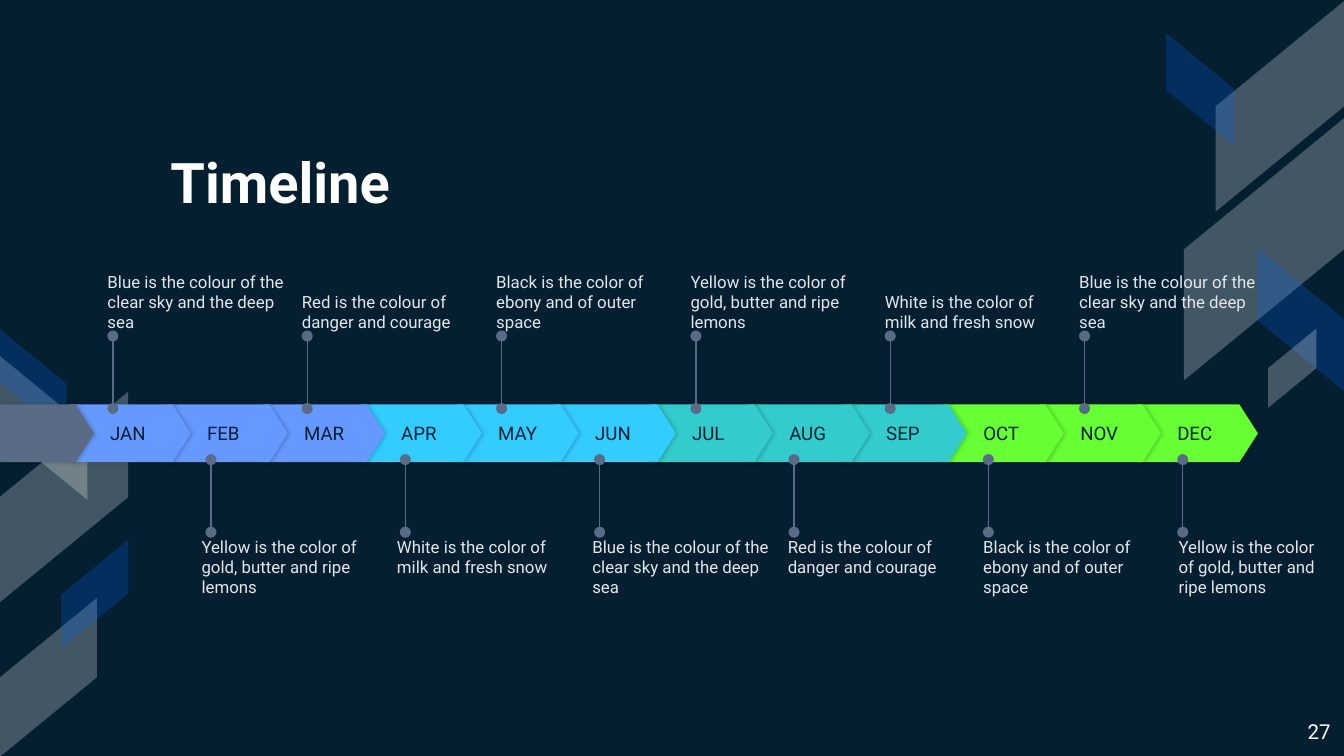
from lxml import etree
from pptx import Presentation
from pptx.dml.color import RGBColor
from pptx.enum.shapes import MSO_CONNECTOR, MSO_SHAPE
from pptx.enum.text import MSO_ANCHOR, PP_ALIGN
from pptx.oxml.ns import qn
from pptx.util import Inches, Pt

# Content
BLUE = "Blue is the colour of the clear sky and the deep sea"
YELLOW = "Yellow is the color of gold, butter and ripe lemons"
RED = "Red is the colour of danger and courage"
WHITE = "White is the color of milk and fresh snow"
BLACK = "Black is the color of ebony and of outer space"
QUARTERS = [
    ("6699FF", ["JAN", "FEB", "MAR"]),
    ("33CCFF", ["APR", "MAY", "JUN"]),
    ("33CCCC", ["JUL", "AUG", "SEP"]),
    ("66FF33", ["OCT", "NOV", "DEC"]),
]
NOTES_ABOVE = [BLUE, RED, BLACK, YELLOW, WHITE, BLUE]
NOTES_BELOW = [YELLOW, WHITE, BLUE, RED, BLACK, YELLOW]

# Background stripes: left, top, width, height, rotation, flipped, pale
STRIPES = [
    (8.74, 0.31, 1.57, 0.96, 90, True, True),
    (8.43, 1.26, 1.95, 1.19, 90, True, True),
    (9.15, 2.06, 1.06, 0.64, 270, False, False),
    (8.51, 0.41, 0.84, 0.51, 270, False, False),
    (9.32, 2.56, 0.59, 0.36, 270, True, True),
    (-0.31, 3.22, 1.57, 0.96, 90, True, True),
    (-0.21, 2.86, 1.07, 0.65, 90, False, True),
    (-0.23, 4.68, 1.18, 0.72, 270, True, True),
    (-0.16, 2.6, 0.81, 0.5, 270, False, False),
    (0.3, 4.17, 0.81, 0.5, 270, True, False),
]

# Layout, in inches, on a 16:9 slide
W = 10
H = W * 9 / 16
FIRST_MONTH, LAST_MONTH = 0.52, 8.46
MONTH_STEP = (LAST_MONTH - FIRST_MONTH) / 11
BAR_TOP, BAR_H, MONTH_W = 3.01, 0.43, 0.9
NOTE_W, LAST_NOTE_W, NOTE_H = 1.37, 1.13, 0.58
INK, SLATE, NOTE_COLOR = "041F30", "5A6B85", "E3E7EC"

# Notes: texts, first and last pin x, pin ends, first and last text x, top, anchor
NOTE_ROWS = [
    (NOTES_ABOVE, (0.84, 8.07), (3.04, 2.5), (0.8, 8.03), 1.89, MSO_ANCHOR.BOTTOM),
    (NOTES_BELOW, (1.57, 8.8), (3.96, 3.42), (1.5, 8.77), 3.99, MSO_ANCHOR.TOP),
]

prs = Presentation()
prs.slide_width, prs.slide_height = Inches(W), Inches(H)
slide = prs.slides.add_slide(prs.slide_layouts[6])


def color(value):
    return RGBColor.from_string(value)


def paint(fill, value):
    fill.solid()
    fill.fore_color.rgb = color(value)


def add_xml(parent, tag, **attrs):
    return etree.SubElement(parent, qn(tag), {k: str(v) for k, v in attrs.items()})


def spread(ends, count):
    first, last = ends
    return [first + i * (last - first) / (count - 1) for i in range(count)]


def write(shape, text, size, ink, inset=(0, 0, 0, 0), anchor=MSO_ANCHOR.TOP,
          align=PP_ALIGN.LEFT, bold=False):
    frame = shape.text_frame
    frame.word_wrap = True
    frame.vertical_anchor = anchor
    (frame.margin_left, frame.margin_top,
     frame.margin_right, frame.margin_bottom) = map(Inches, inset)
    paragraph = frame.paragraphs[0]
    paragraph.alignment = align
    run = paragraph.add_run()
    run.text = text
    run.font.name, run.font.size, run.font.bold = "Roboto", Pt(size), bold
    run.font.color.rgb = color(ink)


def text_box(x, y, w, h, *args, **options):
    write(slide.shapes.add_textbox(*map(Inches, (x, y, w, h))), *args, **options)


def preset(kind, x, y, w, h, fill, adjust):
    shape = slide.shapes.add_shape(kind, *map(Inches, (x, y, w, h)))
    shape.adjustments[0] = adjust
    shape.shadow.inherit = False
    paint(shape.fill, fill)
    shape.line.fill.background()
    return shape


def stripe(x, y, w, h, rotation, flipped, pale):
    shape = preset(MSO_SHAPE.PARALLELOGRAM, x, y, w, h,
                   "FFFFFF" if pale else "0066FF", 0.819)
    shape.rotation = rotation
    props = shape._element.spPr
    if flipped:
        props.find(qn("a:xfrm")).set("flipH", "1")
    add_xml(props.find(qn("a:solidFill"))[0], "a:alpha", val=25000 if pale else 23000)


def bar_segment(x, w, fill, label=None):
    shape = preset(MSO_SHAPE.PENTAGON, x, BAR_TOP, w, BAR_H, fill, 0.32)
    effects = shape._element.spPr.find(qn("a:effectLst"))
    shadow = add_xml(effects, "a:outerShdw", blurRad=Pt(2.2), dist=Pt(0.8), dir=0,
                     algn="ctr", rotWithShape=0)
    add_xml(add_xml(shadow, "a:srgbClr", val="000000"), "a:alpha", val=20000)
    if label:
        write(shape, label, 10, INK, inset=(0.3, 0, 0, 0), anchor=MSO_ANCHOR.MIDDLE)


def pin(x, start, end):
    line = slide.shapes.add_connector(
        MSO_CONNECTOR.STRAIGHT, *map(Inches, (x, start, x, end)))
    line.line.width = Pt(0.75)
    paint(line.line.fill, SLATE)
    props = line._element.spPr
    for tag in ("a:headEnd", "a:tailEnd"):
        add_xml(props.find(qn("a:ln")), tag, type="oval")
    add_xml(props, "a:effectLst")


# Background, title and page number
paint(slide.background.fill, INK)
for spec in STRIPES:
    stripe(*spec)
text_box(1.17, 1, 6.53, 0.7, "Timeline", 30, "FFFFFF", inset=(0.1,) * 4,
         anchor=MSO_ANCHOR.BOTTOM, bold=True)
text_box(9.36, 5.26, 0.64, 0.36, "27", 11, "FFFFFF", inset=(0.1,) * 4,
         align=PP_ALIGN.RIGHT)

# Month bar, last month first so each point overlaps the next segment
months = [(name, fill) for fill, names in QUARTERS for name in names]
for i, (name, fill) in reversed(list(enumerate(months))):
    bar_segment(FIRST_MONTH + i * MONTH_STEP, MONTH_W, fill, name)
bar_segment(0, 0.7, SLATE)

# Notes: odd months above the bar, even months below
for notes, pin_span, pin_ends, text_span, top, anchor in NOTE_ROWS:
    count = len(notes)
    for note, pin_x, x in zip(notes, spread(pin_span, count), spread(text_span, count)):
        pin(pin_x, *pin_ends)
        width = LAST_NOTE_W if x + NOTE_W > W else NOTE_W
        text_box(x, top, width, NOTE_H, note, 9, NOTE_COLOR, anchor=anchor)

prs.save("out.pptx")
